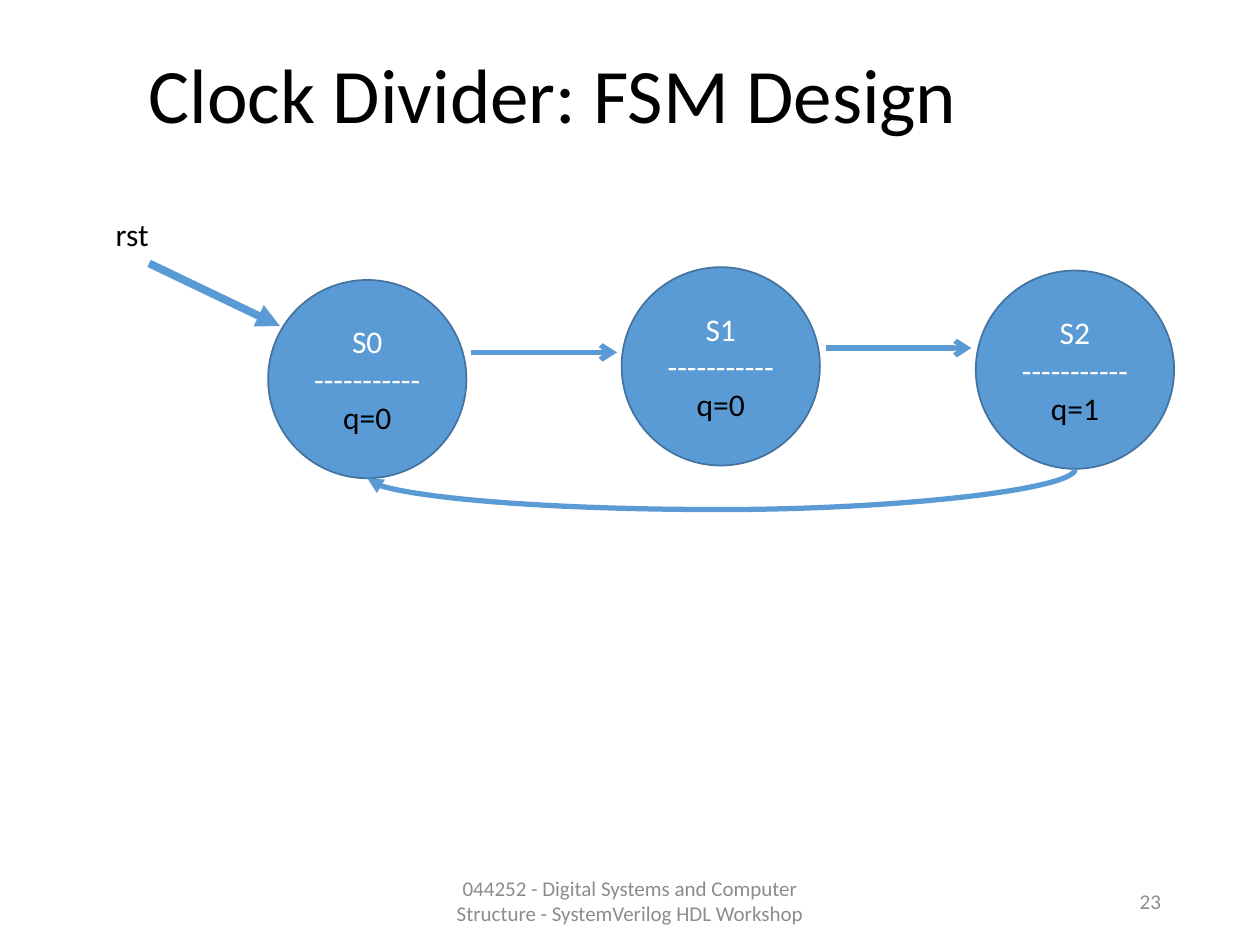
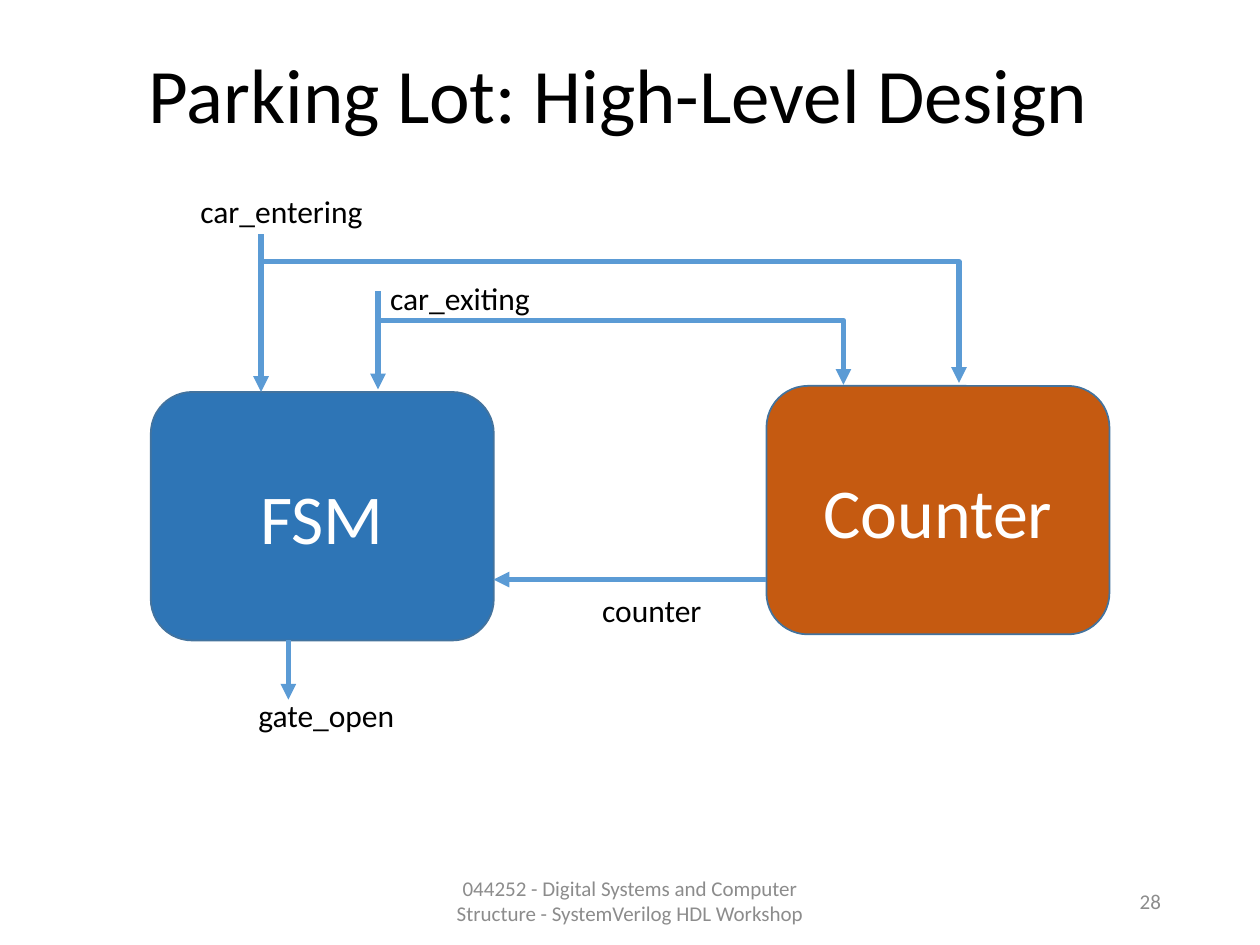
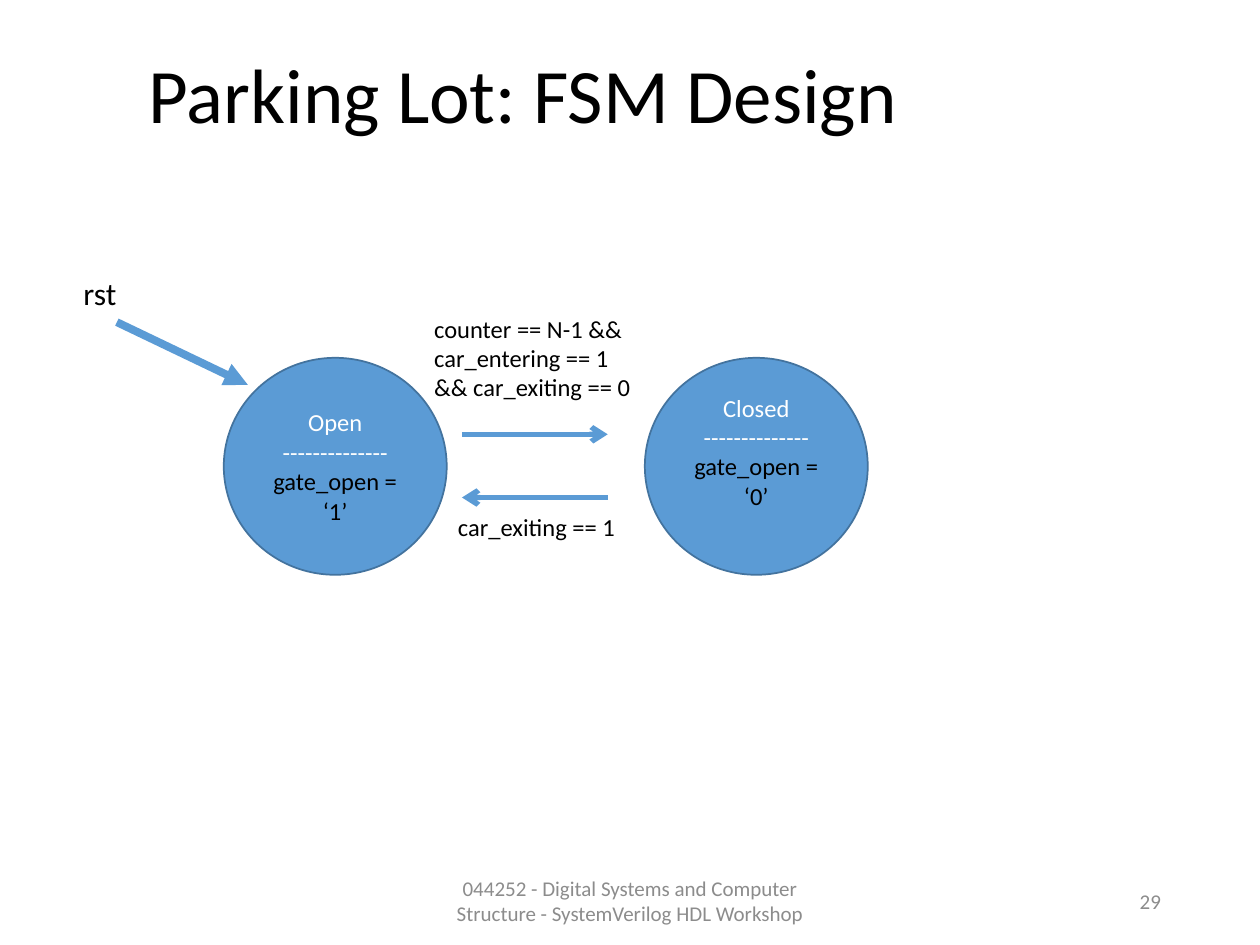
from lxml import etree
from pptx import Presentation
from pptx.dml.color import RGBColor
from pptx.enum import shapes, text
from pptx.oxml import ns
from pptx.util import Pt

FONT = "Calibri"
BLACK = RGBColor(0x00, 0x00, 0x00)
WHITE = RGBColor(0xFF, 0xFF, 0xFF)
GREY = RGBColor(0x8C, 0x8C, 0x8C)
BLUE = RGBColor(0x5B, 0x9B, 0xD5)
DARK_BLUE = RGBColor(0x2E, 0x75, 0xB6)
ORANGE = RGBColor(0xC5, 0x5A, 0x11)
OUTLINE = RGBColor(0x43, 0x73, 0x9E)

LEFT, CENTER, RIGHT = text.PP_ALIGN.LEFT, text.PP_ALIGN.CENTER, text.PP_ALIGN.RIGHT
TOP, MIDDLE = text.MSO_ANCHOR.TOP, text.MSO_ANCHOR.MIDDLE
STRAIGHT = shapes.MSO_CONNECTOR.STRAIGHT
ELBOW = shapes.MSO_CONNECTOR.ELBOW
CURVE = shapes.MSO_CONNECTOR.CURVE

SLIDE_SIZE = (720, 540)
TITLE_BOX = (77.75, 4.3, 620.65, 104.4)
COURSE = "044252 - Digital Systems and Computer Structure - SystemVerilog HDL Workshop"
COURSE_BOX = (238.5, 500.5, 243, 28.75)
NUMBER_BOX = (508.5, 500.5, 162, 28.75)

# Boxes are (left, top, width, height); arrows are (start, end, head).
# States are (box, name, rule, output, extra bottom inset).
SLIDES = [
    {
        "title": "Clock Divider: FSM Design",
        "number": "23",
        "state_size": 18,
        "states": [
            ((153.2, 160, 113.3, 113.3), "S0", "-" * 11, "q=0", 0),
            ((355.2, 152.7, 113.3, 113.3), "S1", "-" * 11, "q=0", 0),
            ((557.6, 154.6, 113.3, 113.3), "S2", "-" * 11, "q=1", 0),
        ],
        "arrows": [
            ((269.3, 201.4), (352.6, 201.4), "arrow"),
            ((471.8, 198.9), (555.1, 198.9), "arrow"),
        ],
        "return_curve": ((614.4, 268), (209.9, 273.3), 23.2),
        "reset": (59, 119.5),
    },
    {
        "title": "Parking Lot: High-Level Design",
        "number": "28",
        "blocks": [
            ((86.2, 224, 196, 142), "FSM", DARK_BLUE),
            ((438, 220.5, 196, 142), "Counter", ORANGE),
        ],
        "arrows": [
            ((438, 331.2), (282, 331.2), "triangle"),
            ((149.2, 133.9), (149.2, 224), "triangle"),
            ((216, 166.5), (216, 222.5), "triangle"),
            ((164.8, 366), (164.8, 399.8), "triangle"),
        ],
        "elbows": [
            ((216, 183), (482, 219.9)),
            ((149.2, 149.5), (548, 218.8)),
        ],
        "labels": [
            ((337, 334.4, 74, 28.8), "counter", 18),
            ((107.4, 106, 113.8, 28.8), "car_entering", 18),
            ((215.8, 155.8, 113.8, 28.8), "car_exiting", 18),
            ((140.5, 394, 98, 28.8), "gate_open", 18),
        ],
    },
    {
        "title": "Parking Lot: FSM Design",
        "number": "29",
        "state_size": 14,
        "states": [
            ((127.9, 204.5, 127.4, 124), "Open", "-" * 14, "gate_open = ‘1’", 0),
            ((368.5, 204.5, 127.4, 124), "Closed", "-" * 14, "gate_open = ‘0’", 17),
        ],
        "arrows": [
            ((264, 248.2), (347.3, 248.2), "arrow"),
            ((347.3, 284.3), (264, 284.3), "arrow"),
        ],
        "labels": [
            ((241, 175.7, 127.4, 58.3),
             "counter == N-1 && car_entering == 1 && car_exiting == 0", 14),
            ((254.6, 289.2, 127.4, 24.5), "car_exiting == 1", 14),
        ],
        "reset": (40.6, 153.1),
    },
]


def points(values):
    return [Pt(value) for value in values]


def write(frame, lines, size, align=LEFT, anchor=TOP):
    """Fill a text frame with one paragraph per (words, colour) line."""
    frame.word_wrap = True
    frame.auto_size = text.MSO_AUTO_SIZE.NONE
    frame.vertical_anchor = anchor
    for index, (words, colour) in enumerate(lines):
        paragraph = frame.add_paragraph() if index else frame.paragraphs[0]
        paragraph.alignment = align
        run = paragraph.add_run()
        run.text = words
        run.font.name = FONT
        run.font.size = Pt(size)
        run.font.color.rgb = colour


def add_label(slide, box, words, size, colour=BLACK, align=LEFT, anchor=TOP):
    label = slide.shapes.add_textbox(*points(box))
    write(label.text_frame, [(words, colour)], size, align, anchor)


def add_node(slide, kind, box, fill, lines, size, extra_bottom=0):
    node = slide.shapes.add_shape(kind, *points(box))
    node.shadow.inherit = False
    node.fill.solid()
    node.fill.fore_color.rgb = fill
    node.line.color.rgb = OUTLINE
    node.line.width = Pt(1)
    write(node.text_frame, lines, size, CENTER, MIDDLE)
    node.text_frame.margin_bottom = Pt(3.6 + extra_bottom)


def add_arrow(slide, start, end, head="triangle", width=3, kind=STRAIGHT, bend=None):
    """Draw an arrow; bend is where an elbow or curve turns, as a share of its width."""
    arrow = slide.shapes.add_connector(kind, *points((*start, *end)))
    arrow.line.color.rgb = BLUE
    arrow.line.width = Pt(width)
    etree.SubElement(arrow.line._get_or_add_ln(), ns.qn("a:tailEnd"), type=head)
    properties = arrow._element.spPr
    etree.SubElement(properties, ns.qn("a:effectLst"))
    if bend is not None:
        adjustments = properties.find(".//" + ns.qn("a:avLst"))
        etree.SubElement(adjustments, ns.qn("a:gd"), name="adj1",
                         fmla=f"val {round(bend * 100000)}")
    return arrow


def add_return_curve(slide, start, end, depth):
    """Draw a curve that sags by depth below start: a connector turned a quarter."""
    drop, span = end[1] - start[1], start[0] - end[0]
    center_x, center_y = (start[0] + end[0]) / 2, (start[1] + end[1]) / 2
    left, top = center_x - drop / 2, center_y - span / 2
    curve = add_arrow(slide, (left, top), (left + drop, top + span),
                      kind=CURVE, bend=depth / drop)
    curve._element.spPr.find(ns.qn("a:xfrm")).set("rot", str(90 * 60000))


def add_reset(slide, left, top):
    add_arrow(slide, (left + 26.2, top + 31), (left + 101, top + 66.8), width=4.5)
    add_label(slide, (left, top, 37.4, 28.8), "rst", 18)


def add_frame(slide, title, number):
    """Set the title, course footer and slide number."""
    heading = slide.shapes.title
    heading.left, heading.top, heading.width, heading.height = points(TITLE_BOX)
    write(heading.text_frame, [(title, BLACK)], 44, anchor=MIDDLE)
    heading.text_frame.paragraphs[0].line_spacing = 0.9
    add_label(slide, COURSE_BOX, COURSE, 12, GREY, CENTER, MIDDLE)
    add_label(slide, NUMBER_BOX, number, 12, GREY, RIGHT, MIDDLE)


def add_diagram(slide, content):
    for box, name, rule, output, extra in content.get("states", []):
        lines = [(name, WHITE), (rule, WHITE), (output, BLACK)]
        add_node(slide, shapes.MSO_SHAPE.OVAL, box, BLUE, lines,
                 content["state_size"], extra)
    for box, name, fill in content.get("blocks", []):
        add_node(slide, shapes.MSO_SHAPE.ROUNDED_RECTANGLE, box, fill,
                 [(name, WHITE)], 40)
    for start, end, head in content["arrows"]:
        add_arrow(slide, start, end, head)
    for start, end in content.get("elbows", []):
        add_arrow(slide, start, end, kind=ELBOW, bend=1)
    if "return_curve" in content:
        add_return_curve(slide, *content["return_curve"])
    for label in content.get("labels", []):
        add_label(slide, *label)
    if "reset" in content:
        add_reset(slide, *content["reset"])


def main():
    deck = Presentation()
    deck.slide_width, deck.slide_height = points(SLIDE_SIZE)
    title_only = deck.slide_layouts[5]
    for content in SLIDES:
        slide = deck.slides.add_slide(title_only)
        add_frame(slide, content["title"], content["number"])
        add_diagram(slide, content)
    deck.save("out.pptx")


if __name__ == "__main__":
    main()
